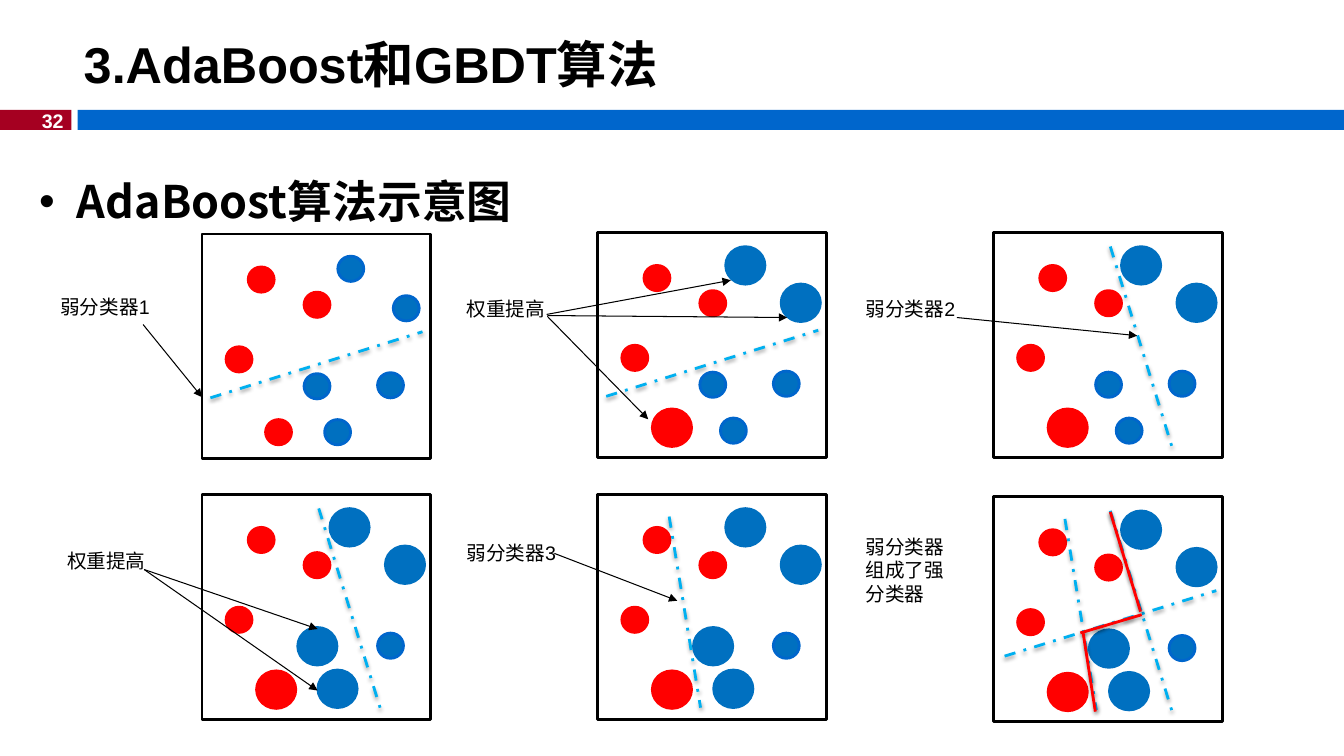
from lxml.etree import SubElement
from pptx import Presentation
from pptx.dml.color import RGBColor
from pptx.enum.dml import MSO_LINE
from pptx.enum.shapes import MSO_CONNECTOR, MSO_SHAPE
from pptx.enum.text import MSO_ANCHOR, MSO_AUTO_SIZE, PP_ALIGN
from pptx.oxml.ns import qn
from pptx.util import Pt

TITLE = "3.AdaBoost和GBDT算法"
HEAD = "AdaBoost算法示意图"
PAGE = "32"

RED, BLUE, EDGE, CYAN = "FF0000", "0070C0", "0066CC", "00B0F0"
BLACK, WHITE = "000000", "FFFFFF"
SMALL, LARGE = (18.5, 18), (28, 26.8)

# colour, top left when small, top left when its weight is raised
DOTS = [
    (RED, (33, 23.5), None),
    (RED, (17.2, 80.5), None),
    (RED, (72.9, 41.5), None),
    (RED, (45.4, 132.5), (39, 126)),
    (BLUE, (97, 15.8), (91.4, 10.1)),
    (BLUE, (136.6, 44), (131, 36.8)),
    (BLUE, (72.9, 99.7), (68.4, 95)),
    (BLUE, (125.4, 99), None),
    (BLUE, (87.6, 132.5), (82.8, 125.4)),
]

# Lines inside a panel: x1, y1, x2, y2
FLAT = (6, 117, 157.5, 69.8)
STEEP = (83.4, 10, 127.3, 152.6)
LEFT = (51, 15.8, 73.4, 152.3)
FINAL = [(83.4, 10.8, 105, 82), (62, 97.2, 105.8, 84.2), (64, 97.2, 72.7, 153.4)]

# column, top, raised dots, weak classifiers
PANELS = [
    (0, 167.2, (), [FLAT]),
    (1, 166.1, (3, 4, 5), [FLAT]),
    (2, 166.1, (3, 4, 5), [STEEP]),
    (0, 353.2, (3, 4, 5, 6, 8), [STEEP]),
    (1, 353.2, (3, 4, 5, 6, 8), [LEFT]),
    (2, 354.9, (3, 4, 5, 6, 8), [LEFT, (7.9, 113.8, 159.1, 67), STEEP]),
]
PANEL_X, STEP, PANEL_W, PANEL_H = 144.3, 282.7, 163.5, 160.6

LABELS = [
    ("弱分类器1", 36, 207.4),
    ("权重提高", 326.2, 208.8),
    ("弱分类器3", 326.2, 383),
    ("权重提高", 40.8, 388.5),
    ("弱分类器2", 611.3, 208.8),
    ("弱分类器组成了强分类器", 611.3, 378.2),
]
ARROWS = [
    (102.2, 231.8, 144.3, 283.7),
    (391, 225.4, 562.3, 226.8),
    (390.5, 224.6, 522, 200.2),
    (391, 226, 463, 299.5),
    (683.5, 226.8, 812.3, 239.8),
    (103, 406.8, 226.8, 493.2),
    (103, 406.8, 226.8, 449.3),
    (396, 395.3, 483.8, 429.1),
]

deck = Presentation()
deck.slide_width, deck.slide_height = Pt(960), Pt(540)
slide = deck.slides.add_slide(deck.slide_layouts[5])
shapes = slide.shapes


def color(code):
    return RGBColor.from_string(code)


def draw(kind, x, y, w, h, fill, edge=None):
    item = shapes.add_shape(kind, Pt(x), Pt(y), Pt(w), Pt(h))
    item.shadow.inherit = False
    item.fill.solid()
    item.fill.fore_color.rgb = color(fill)
    if edge:
        item.line.color.rgb = color(edge)
        item.line.width = Pt(2)
    else:
        item.line.fill.background()


def link(x1, y1, x2, y2, tint, width):
    """Draw a straight line; return it with its empty effect list."""
    line = shapes.add_connector(MSO_CONNECTOR.STRAIGHT, Pt(x1), Pt(y1), Pt(x2), Pt(y2))
    line.line.color.rgb = color(tint)
    line.line.width = Pt(width)
    return line, SubElement(line._element.spPr, qn("a:effectLst"))


def cut(ends, x, y, tint, dash=None):
    """Draw a shadowed dividing line inside the panel at x, y."""
    x1, y1, x2, y2 = ends
    line, fx = link(x + x1, y + y1, x + x2, y + y2, tint, 2)
    if dash:
        line.line.dash_style = dash
    shade = SubElement(fx, qn("a:outerShdw"), blurRad=str(Pt(3.1)),
                       dist=str(Pt(1.6)), dir="5400000", rotWithShape="0")
    tone = SubElement(shade, qn("a:srgbClr"), val=BLACK)
    SubElement(tone, qn("a:alpha"), val="38000")


def arrow(ends):
    line, _ = link(*ends, BLACK, 0.75)
    SubElement(line.line._get_or_add_ln(), qn("a:tailEnd"), type="triangle")


def write(frame, text, size, bold=False, tint=BLACK, font="Arial"):
    para = frame.paragraphs[0]
    run = para.add_run()
    run.text = text
    run.font.name, run.font.size, run.font.bold = font, Pt(size), bold
    run.font.color.rgb = color(tint)
    SubElement(run._r.get_or_add_rPr(), qn("a:ea"), typeface="Noto Sans CJK SC")
    return para


def box(x, y, w, h, wrap=True):
    frame = shapes.add_textbox(Pt(x), Pt(y), Pt(w), Pt(h)).text_frame
    frame.word_wrap = wrap
    return frame


def dots(x, y, raised, big):
    """Draw the dots of one size in the panel at x, y."""
    w, h = LARGE if big else SMALL
    for n, (fill, low, high) in enumerate(DOTS):
        if (n in raised) == big:
            dx, dy = high if big else low
            edge = EDGE if fill == BLUE and not big else fill
            draw(MSO_SHAPE.OVAL, x + dx, y + dy, w, h, fill, edge)


draw(MSO_SHAPE.RECTANGLE, 0, 78.5, 51, 14.4, "A50021")
draw(MSO_SHAPE.RECTANGLE, 55.5, 78.5, 904.5, 14.4, EDGE)
write(box(20.9, 74.2, 31.7, 24.5, False), PAGE, 14, True, WHITE).alignment = PP_ALIGN.RIGHT

title = shapes.title
title.left, title.top, title.width, title.height = Pt(52.6), Pt(18.7), Pt(907.4), Pt(53.3)
title.text_frame.auto_size = MSO_AUTO_SIZE.NONE
title.text_frame.vertical_anchor = MSO_ANCHOR.MIDDLE
write(title.text_frame, TITLE, 36, True).alignment = PP_ALIGN.LEFT

head = write(box(20.9, 101.5, 925.9, 60), HEAD, 32, True, font="Noto Sans CJK SC")
head.alignment = PP_ALIGN.JUSTIFY
head.line_spacing = 1.5
head.space_before = Pt(0)
props = head._p.get_or_add_pPr()
props.set("marL", str(Pt(27)))
props.set("indent", str(Pt(-27)))
SubElement(props, qn("a:buFont"), typeface="Arial")
SubElement(props, qn("a:buChar"), char="•")

for col, y, raised, cuts in PANELS:
    x = PANEL_X + col * STEP
    draw(MSO_SHAPE.RECTANGLE, x, y, PANEL_W, PANEL_H, WHITE, BLACK)
    dots(x, y, raised, False)
    cut(cuts[0], x, y, CYAN, MSO_LINE.DASH_DOT)
    dots(x, y, raised, True)
    for ends in cuts[1:]:
        cut(ends, x, y, CYAN, MSO_LINE.DASH_DOT)

for text, left, top in LABELS:
    write(box(left, top, 80.6, 24.5), text, 14)
for ends in ARROWS:
    arrow(ends)
for ends in FINAL:
    cut(ends, x, y, RED)

deck.save("out.pptx")
